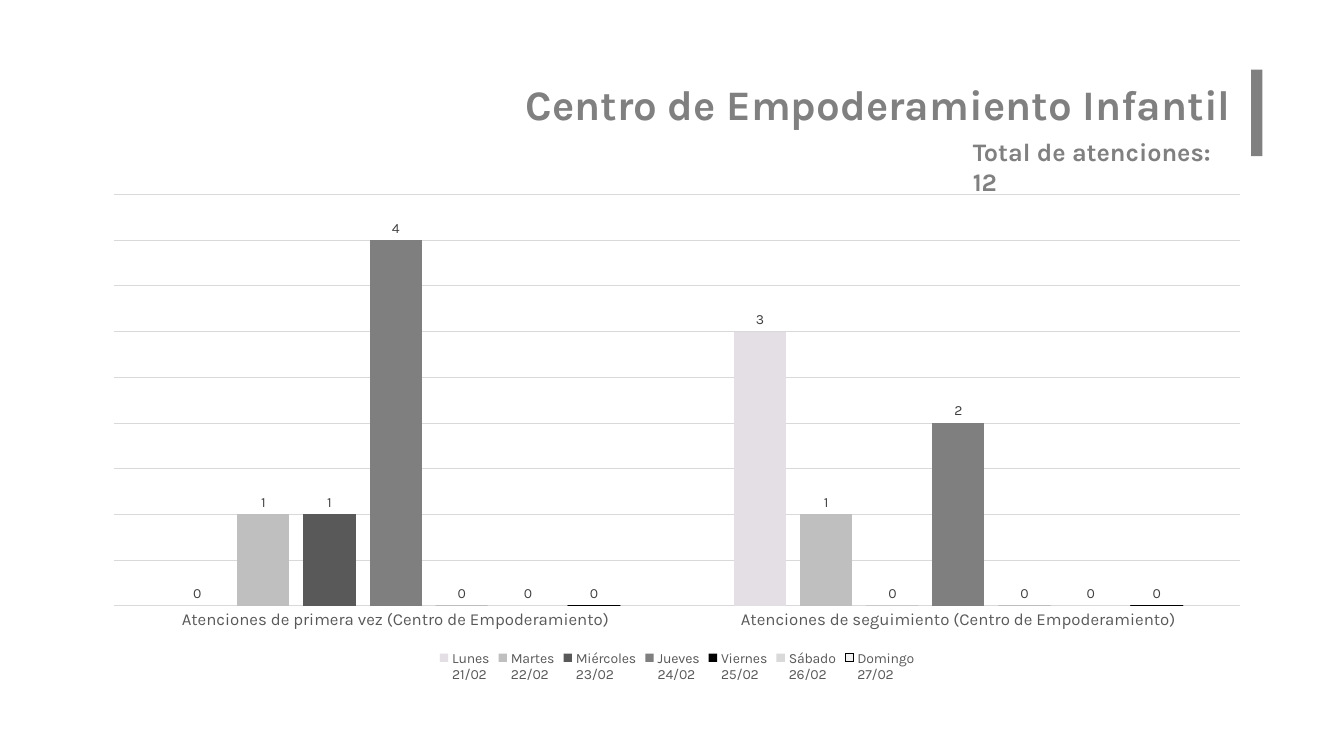
from dataclasses import dataclass
from typing import Any

from lxml import etree
from pptx import Presentation
from pptx import util as u
from pptx.chart import data as chart_data
from pptx.dml import color
from pptx.enum import chart as chart_enum, shapes, text

FONT = "Karla"
COLOURS = {
    "heading": "808080", "label": "404040", "axis": "595959", "rule": "D9D9D9",
    "black": "000000", "lunes": "E3DFE5", "martes": "BFBFBF", "miercoles": "595959",
    "jueves": "7F7F7F", "viernes": "000000", "sabado": "D9D9D9", "domingo": "F2F2F2",
}
CATEGORIES = ["Atenciones de primera vez (Centro de Empoderamiento)",
              "Atenciones de seguimiento (Centro de Empoderamiento)"]
PLOT_LAYOUT = {"x": 0.02, "y": 0.02, "w": 0.96, "h": 0.82}


@dataclass(frozen=True)
class Box:
    """Position and size in inches."""
    left: float
    top: float
    width: float
    height: float

    def lengths(self) -> list[u.Length]:
        """Return the four lengths in drawing order."""
        return [u.Inches(v) for v in (self.left, self.top, self.width, self.height)]


@dataclass(frozen=True)
class Heading:
    """A line of bold text above the chart."""
    wording: str
    box: Box
    size: int
    align: text.PP_ALIGN
    margin: float
    before: int = 0


@dataclass(frozen=True)
class Day:
    """Attendances of one day, by category."""
    name: str
    values: tuple[int, int]
    colour: str
    outline: str | None = None


HEADINGS = [
    Heading("Centro de Empoderamiento Infantil", Box(2.14, 0.68, 10.27, 0.87), 30,
            text.PP_ALIGN.RIGHT, 0.1, before=3),
    Heading("Total de atenciones: 12", Box(9.55, 1.3, 2.86, 0.4), 18,
            text.PP_ALIGN.LEFT, 0.05),
]
DAYS = [
    Day("Lunes\n21/02", (0, 3), "lunes"),
    Day("Martes\n22/02", (1, 1), "martes"),
    Day("Miércoles\n23/02", (1, 0), "miercoles"),
    Day("Jueves\n24/02", (4, 2), "jueves"),
    Day("Viernes\n25/02", (0, 0), "viernes"),
    Day("Sábado\n26/02", (0, 0), "sabado"),
    Day("Domingo\n27/02", (0, 0), "domingo", outline="black"),
]


def rgb(name: str) -> color.RGBColor:
    """Look up a colour by name."""
    return color.RGBColor.from_string(COLOURS[name])


def apply(target: Any, values: dict[str, Any]) -> None:
    """Set every attribute in values on target."""
    for attribute, value in values.items():
        setattr(target, attribute, value)


def style_font(font: Any, size: float, colour: str, bold: bool = False) -> None:
    """Give a font its face, size, weight and colour."""
    apply(font, {"name": FONT, "size": u.Pt(size), "bold": bold})
    font.color.rgb = rgb(colour)


def style_line(line: Any, colour: str) -> None:
    """Give a line its colour and the common thin width."""
    line.color.rgb = rgb(colour)
    line.width = u.Pt(0.75)


def add_heading(slide: Any, heading: Heading) -> None:
    """Draw one heading."""
    frame = slide.shapes.add_textbox(*heading.box.lengths()).text_frame
    side, edge = u.Inches(2 * heading.margin), u.Inches(heading.margin)
    apply(frame, {"word_wrap": True, "margin_left": side, "margin_right": side,
                  "margin_top": edge, "margin_bottom": edge})
    paragraph = frame.paragraphs[0]
    apply(paragraph, {"alignment": heading.align, "space_before": u.Pt(heading.before)})
    run = paragraph.add_run()
    run.text = heading.wording
    style_font(run.font, heading.size, "heading", bold=True)


def add_accent(slide: Any, box: Box) -> None:
    """Draw the upright bar beside the title."""
    shape = slide.shapes.add_shape(shapes.MSO_SHAPE.RECTANGLE, *box.lengths())
    shape.shadow.inherit = False
    shape.fill.solid()
    shape.fill.fore_color.rgb = rgb("heading")
    shape.line.fill.background()


def place_plot(chart: Any) -> None:
    """Fix the inner plot area as fractions of the chart."""
    area = chart.element.chart.plotArea
    namespace = area.nsmap["c"]
    for layout in area.findall(f"{{{namespace}}}layout"):
        area.remove(layout)
    layout = etree.Element(f"{{{namespace}}}layout")
    manual = etree.SubElement(layout, f"{{{namespace}}}manualLayout")
    settings = {"layoutTarget": "inner", "xMode": "edge", "yMode": "edge", **PLOT_LAYOUT}
    for tag, value in settings.items():
        etree.SubElement(manual, f"{{{namespace}}}{tag}", val=str(value))
    area.insert(0, layout)


def style_axes(chart: Any) -> None:
    """Style the category axis and the hidden value axis with its grid."""
    no_tick = chart_enum.XL_TICK_MARK.NONE
    axis = chart.category_axis
    apply(axis, {"major_tick_mark": no_tick, "minor_tick_mark": no_tick})
    style_font(axis.tick_labels.font, 12, "axis")
    style_line(axis.format.line, "rule")
    scale = chart.value_axis
    apply(scale, {"visible": False, "minimum_scale": 0, "maximum_scale": 4.5,
                  "major_unit": 0.5, "has_major_gridlines": True})
    style_line(scale.major_gridlines.format.line, "rule")


def style_series(series: Any, day: Day) -> None:
    """Colour the columns of one day and label their values."""
    series.format.fill.solid()
    series.format.fill.fore_color.rgb = rgb(day.colour)
    if day.outline:
        style_line(series.format.line, day.outline)
    labels = series.data_labels
    apply(labels, {"show_value": True,
                   "position": chart_enum.XL_LABEL_POSITION.OUTSIDE_END})
    style_font(labels.font, 10, "label")


def add_attendance_chart(slide: Any, box: Box) -> None:
    """Draw the columns of attendances by day."""
    attendances = chart_data.CategoryChartData()
    attendances.categories = CATEGORIES
    for day in DAYS:
        attendances.add_series(day.name, day.values)
    chart = slide.shapes.add_chart(
        chart_enum.XL_CHART_TYPE.COLUMN_CLUSTERED, *box.lengths(), attendances).chart
    apply(chart, {"has_title": False, "has_legend": True})
    style_font(chart.font, 10, "black")
    apply(chart.legend, {"position": chart_enum.XL_LEGEND_POSITION.BOTTOM,
                         "include_in_layout": False})
    style_font(chart.legend.font, 10, "axis")
    plot = chart.plots[0]
    apply(plot, {"gap_width": 219, "overlap": -27, "vary_by_categories": False})
    for series, day in zip(plot.series, DAYS):
        style_series(series, day)
    style_axes(chart)
    place_plot(chart)


def main() -> None:
    """Build and save the slide."""
    presentation = Presentation()
    apply(presentation, {"slide_width": u.Inches(13.33), "slide_height": u.Inches(7.5)})
    slide = presentation.slides.add_slide(presentation.slide_layouts[6])
    for heading in HEADINGS:
        add_heading(slide, heading)
    add_accent(slide, Box(12.41, 0.69, 0.11, 0.86))
    add_attendance_chart(slide, Box(0.9, 1.83, 11.63, 4.98))
    presentation.save("out.pptx")


main()
